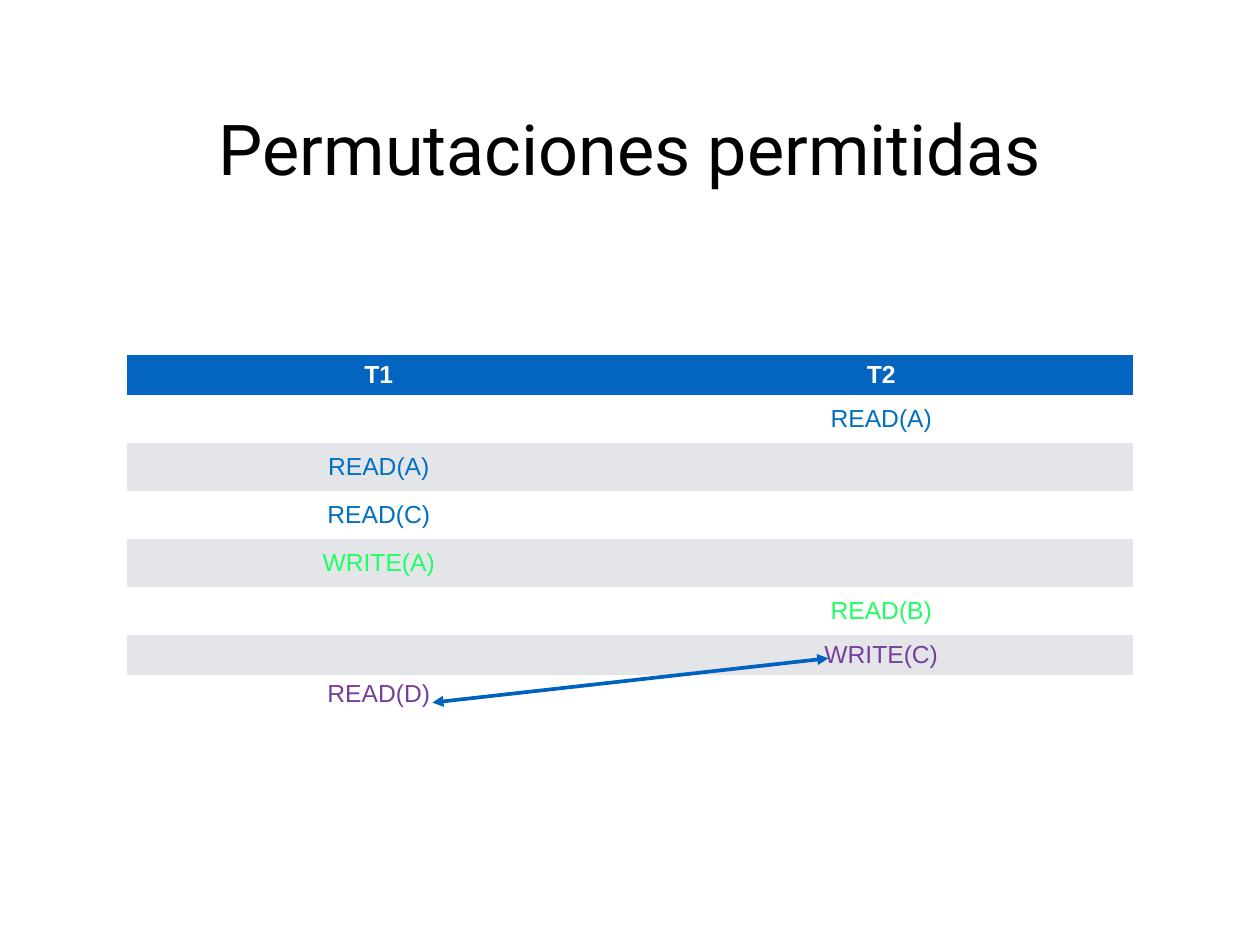
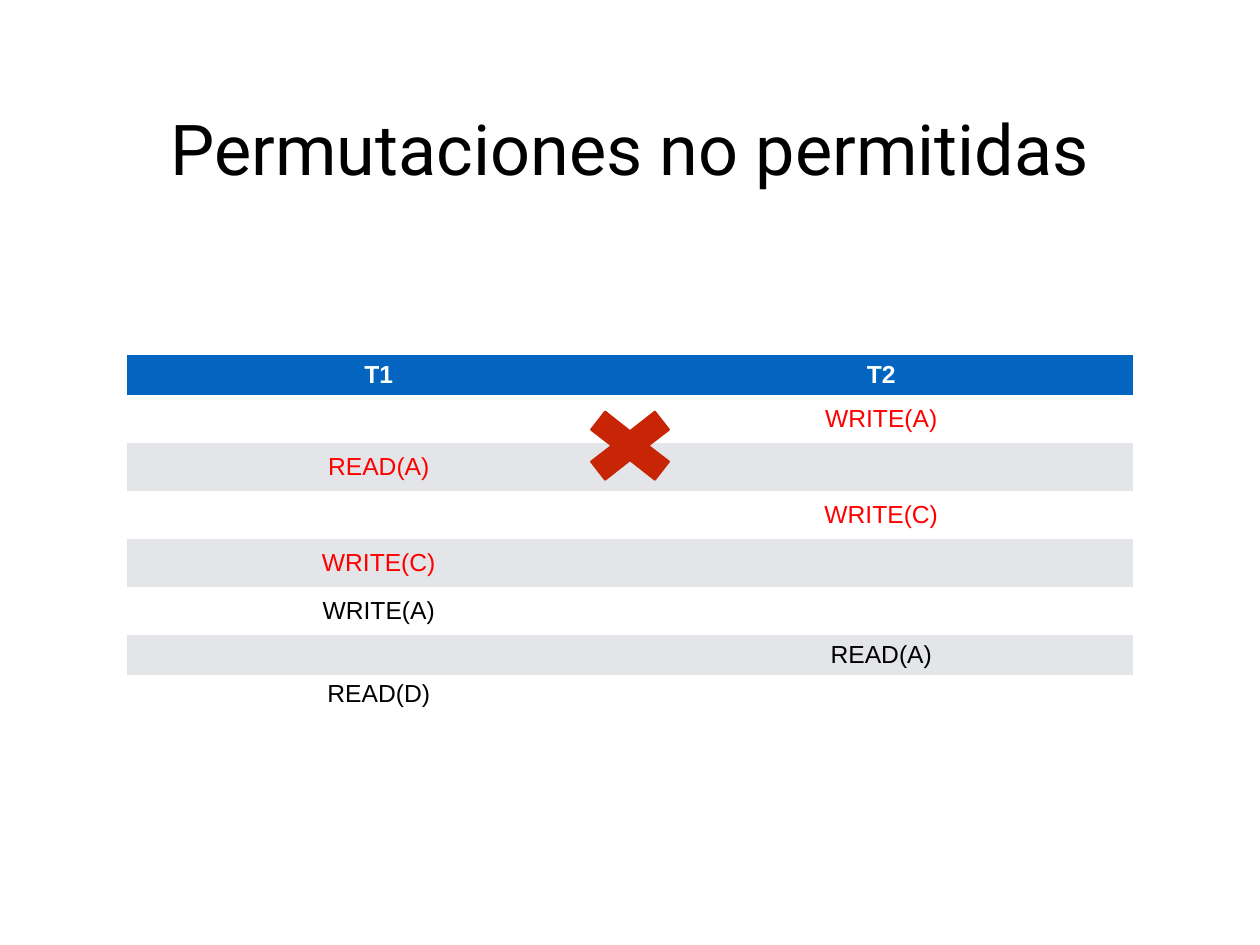
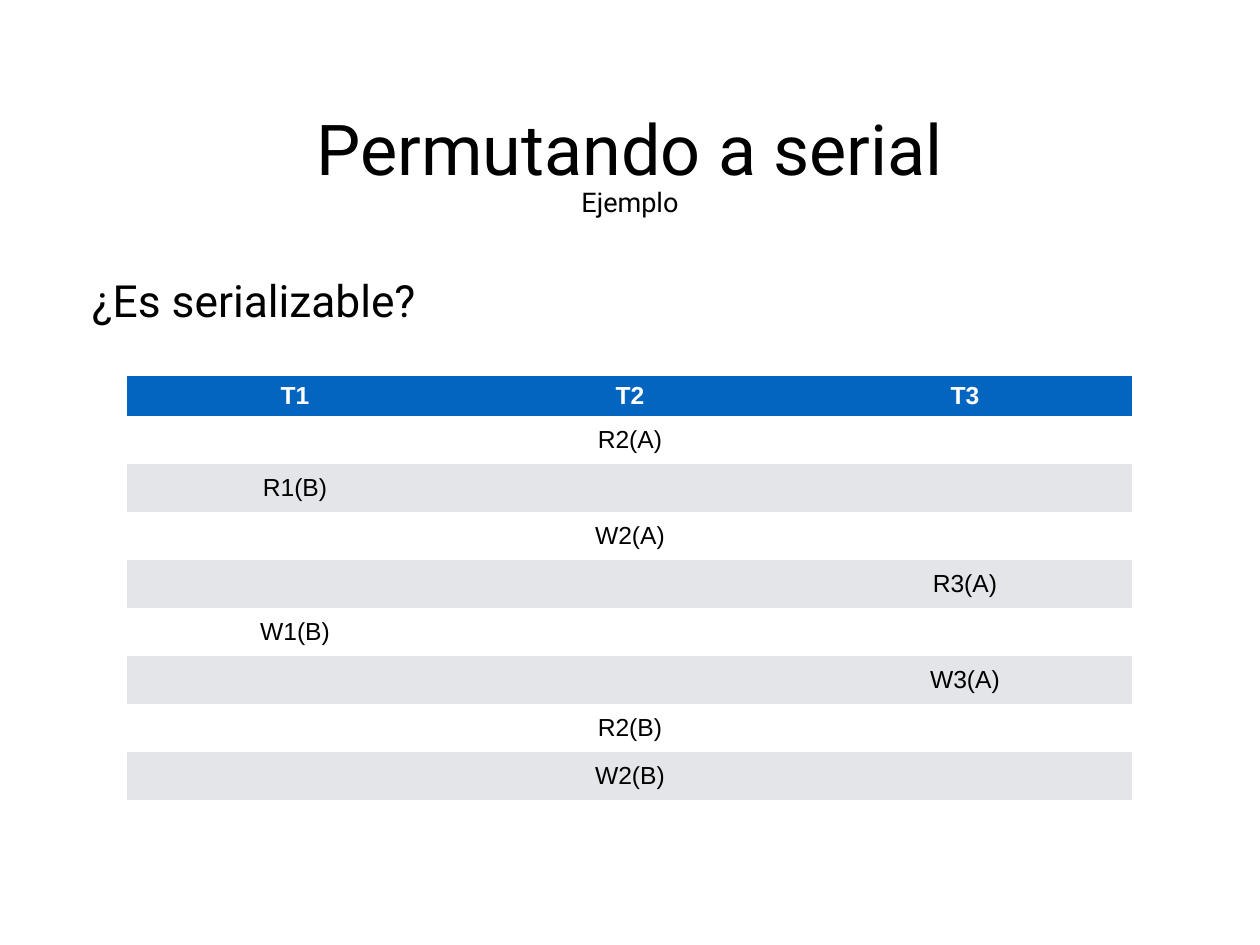
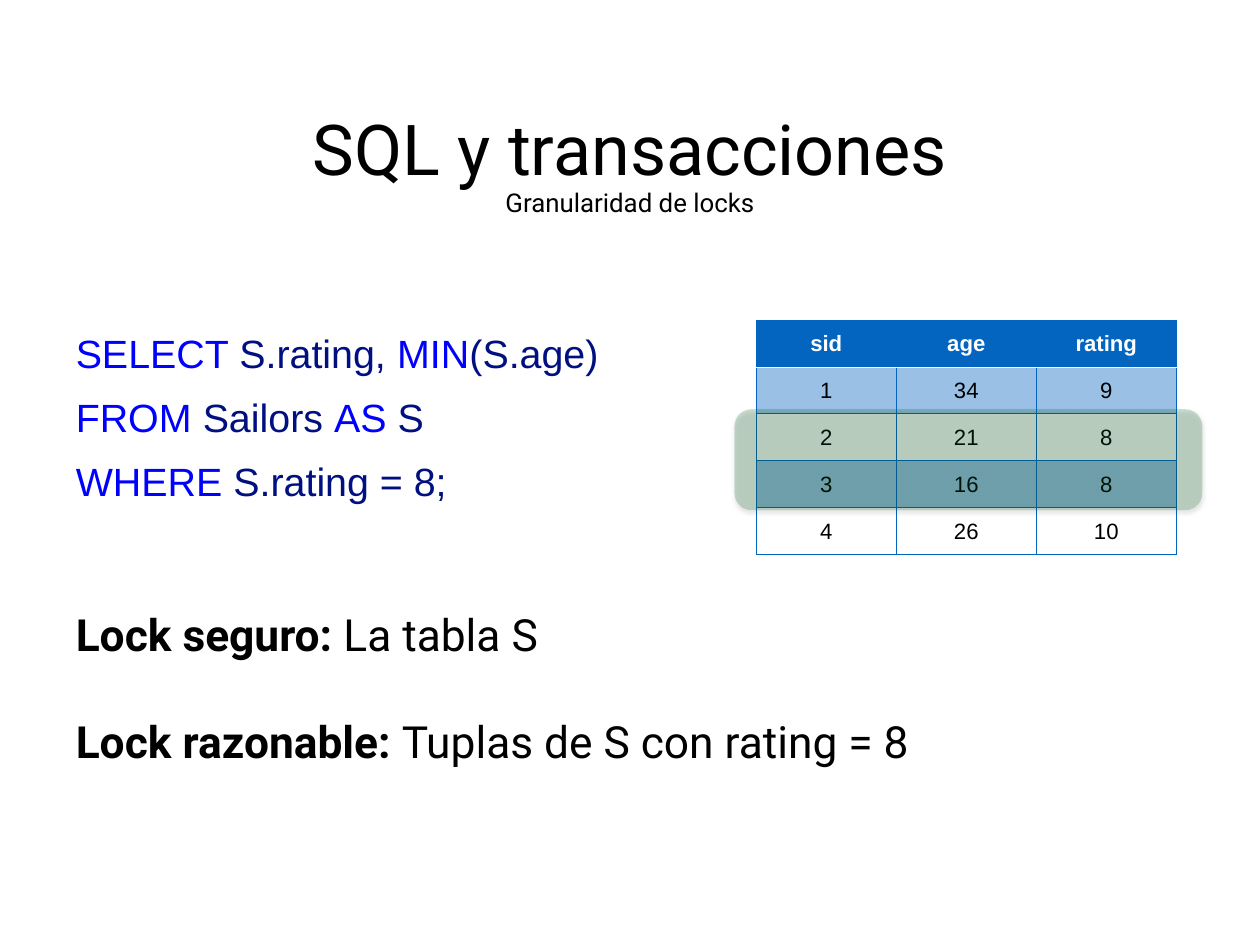
from lxml.etree import SubElement, Element
from pptx import Presentation
from pptx.dml.color import RGBColor as RGB
from pptx.enum.shapes import MSO_CONNECTOR as CONNECTOR, MSO_SHAPE as SHAPE
from pptx.enum.text import MSO_ANCHOR as ANCHOR, PP_ALIGN as ALIGN
from pptx.oxml.ns import qn
from pptx.util import Pt

COLORS = {
    "black": "000000", "white": "FFFFFF", "header": "0365C0", "band": "E3E5E8",
    "blue": "0070C0", "green": "1DFF63", "purple": "773F9B", "red": "FF0000",
    "arrow": "0062BF", "cross": "C82506", "keyword": "0000FF", "code": "001080",
    "lock": "006620",
}
C = {name: RGB.from_string(value) for name, value in COLORS.items()}
WIDTH, HEIGHT = 1024, 768
NO_STYLE = "{2D5ABB26-0587-4C30-8999-92F81FD0307C}"

prs = Presentation()
prs.slide_width, prs.slide_height = Pt(WIDTH), Pt(HEIGHT)


def add_text(slide, box, paragraphs, size, font="Roboto", align=ALIGN.LEFT,
             spacing=None, gap=0):
    """Each paragraph is a list of (text, colour, bold) runs."""
    frame = slide.shapes.add_textbox(*map(Pt, box)).text_frame
    frame.word_wrap = True
    frame.vertical_anchor = ANCHOR.MIDDLE
    frame.margin_left = frame.margin_right = Pt(4)
    frame.margin_top = frame.margin_bottom = Pt(4)
    for i, runs in enumerate(paragraphs):
        para = frame.add_paragraph() if i else frame.paragraphs[0]
        para.alignment = align
        if spacing:
            para.line_spacing = spacing
        if i and gap:
            para.space_before = Pt(gap)
        for text, color, bold in runs:
            run = para.add_run()
            run.text = text
            run.font.name, run.font.size, run.font.bold = font, Pt(size), bold
            run.font.color.rgb = C[color]


def add_grid(slide, left, top, col_width, heights, rows, colors, fills, size, inset):
    """Rows are lists of strings; colors and fills hold one entry per row."""
    cols = len(rows[0])
    table = slide.shapes.add_table(len(rows), cols, Pt(left), Pt(top),
                                   Pt(col_width * cols), Pt(sum(heights))).table
    table.horz_banding = False
    table._tbl.tblPr.find(qn("a:tableStyleId")).text = NO_STYLE
    for column in table.columns:
        column.width = Pt(col_width)
    for r, row in enumerate(rows):
        table.rows[r].height = Pt(heights[r])
        for c, text in enumerate(row):
            cell = table.cell(r, c)
            cell.vertical_anchor = ANCHOR.MIDDLE
            cell.margin_left = cell.margin_right = Pt(inset)
            cell.margin_top = cell.margin_bottom = Pt(inset)
            if fills[r]:
                cell.fill.solid()
                cell.fill.fore_color.rgb = C[fills[r]]
            else:
                cell.fill.background()
            if text:
                para = cell.text_frame.paragraphs[0]
                para.alignment = ALIGN.CENTER
                run = para.add_run()
                run.text = text
                run.font.name, run.font.size, run.font.bold = "Arial", Pt(size), r == 0
                run.font.color.rgb = C[colors[r]]
    return table


# Titles and subtitles: (title, title width, subtitle, width, top, size)
headings = [
    ("Permutaciones permitidas", 682.6, None),
    ("Permutaciones no permitidas", 763.2, None),
    ("Permutando a serial", 526.4, ("Ejemplo", 91, 147, 22)),
    ("SQL y transacciones", 547.2, ("Granularidad de locks", 235.4, 147.6, 21)),
]
slides = []
for title, title_width, subtitle in headings:
    slide = prs.slides.add_slide(prs.slide_layouts[6])
    slides.append(slide)
    add_text(slide, ((WIDTH - title_width) / 2, 82.8, title_width, 74.2),
             [[(title, "black", False)]], 57, align=ALIGN.CENTER)
    if subtitle:
        text, width, top, size = subtitle
        add_text(slide, ((WIDTH - width) / 2, top, width, 34),
                 [[(text, "black", False)]], size, align=ALIGN.CENTER)
allowed, forbidden, serial, locks = slides

# Schedules: (transaction, operation, colour) in order of execution
short_heights = [32.4, 39.4] + [39] * 4 + [31.9] * 2
schedules = [
    (allowed, 288.6, 2, short_heights, [
        (2, "READ(A)", "blue"), (1, "READ(A)", "blue"), (1, "READ(C)", "blue"),
        (1, "WRITE(A)", "green"), (2, "READ(B)", "green"),
        (2, "WRITE(C)", "purple"), (1, "READ(D)", "purple")]),
    (forbidden, 288.6, 2, short_heights, [
        (2, "WRITE(A)", "red"), (1, "READ(A)", "red"), (2, "WRITE(C)", "red"),
        (1, "WRITE(C)", "red"), (1, "WRITE(A)", "black"),
        (2, "READ(A)", "black"), (1, "READ(D)", "black")]),
    (serial, 305.5, 3, [32.4, 39.4] + [39] * 7, [
        (2, "R2(A)", "black"), (1, "R1(B)", "black"), (2, "W2(A)", "black"),
        (3, "R3(A)", "black"), (1, "W1(B)", "black"), (3, "W3(A)", "black"),
        (2, "R2(B)", "black"), (2, "W2(B)", "black")]),
]
for slide, top, count, heights, steps in schedules:
    transactions = range(1, count + 1)
    rows = [[f"T{t}" for t in transactions]]
    rows += [[op if t == owner else "" for t in transactions] for owner, op, _ in steps]
    colors = ["white"] + [color for _, _, color in steps]
    fills = ["header"] + [("white", "band")[i % 2] for i in range(len(steps))]
    add_grid(slide, 103.6, top, 816.8 / count, heights, rows, colors, fills, 20, 4)

# Slide 1: swap arrow between the two operations
swap = allowed.shapes.add_connector(CONNECTOR.STRAIGHT, Pt(351.4), Pt(571),
                                    Pt(673.2), Pt(535))
swap.line.color.rgb = C["arrow"]
swap.line.width = Pt(3)
for end in ("a:headEnd", "a:tailEnd"):
    SubElement(swap.line._get_or_add_ln(), qn(end), type="triangle")
SubElement(swap._element.spPr, qn("a:effectLst"))

# Slide 2: cross, symmetric about its centre
half = [(-31.4, -13), (-20.2, -27.4), (0, -11.5), (20.2, -27.4), (31.4, -13), (14.5, 0)]
outline = [(Pt(WIDTH / 2 + sign * x), Pt(362.2 + sign * y))
           for sign in (1, -1) for x, y in half]
builder = forbidden.shapes.build_freeform(*outline[0])
builder.add_line_segments(outline[1:], close=True)
cross = builder.convert_to_shape()
cross.shadow.inherit = False
cross.fill.solid()
cross.fill.fore_color.rgb = C["cross"]
cross.line.color.rgb = C["cross"]
cross.line.width = Pt(2)
SubElement(cross.line._get_or_add_ln(), qn("a:round"))

# Slide 3: question
add_text(serial, (70.6, 218.9, 882.7, 49.7), [[("¿Es serializable?", "black", False)]], 36)

# Slide 4: query and lock choices
query = [
    [("SELECT ", "keyword"), ("S.rating, ", "code"), ("MIN", "keyword"), ("(S.age)", "code")],
    [("FROM ", "keyword"), ("Sailors ", "code"), ("AS", "keyword"), (" S", "code")],
    [("WHERE ", "keyword"), ("S.rating = 8;", "code")],
]
add_text(locks, (57.6, 260, 547.2, 143.3),
         [[(text, color, False) for text, color in line] for line in query],
         32, font="Arial", spacing=1.36)
choices = [("Lock seguro: ", "La tabla S"),
           ("Lock razonable: ", "Tuplas de S con rating = 8")]
add_text(locks, (57.6, 489.6, 882.7, 138.2),
         [[(name, "black", True), (target, "black", False)] for name, target in choices],
         36, gap=44)

# Slide 4: table of sailors, with translucent bands and borders
sailors = [["sid", "age", "rating"], ["1", "34", "9"], ["2", "21", "8"],
           ["3", "16", "8"], ["4", "26", "10"]]
grid = add_grid(locks, 614.6, 260, 113.8, [38.2] * 5, sailors, ["white"] + ["black"] * 4,
                ["header", "header", None, "header", None], 18, 3.6)
for r in range(len(sailors)):
    for c in range(len(sailors[0])):
        props = grid.cell(r, c)._tc.tcPr
        if r in (1, 3):
            SubElement(props.find(".//" + qn("a:srgbClr")), qn("a:alpha"), val="40000")
        for i, side in enumerate(("lnL", "lnR", "lnT", "lnB")):
            under_header = (r, side) in ((0, "lnB"), (1, "lnT"))
            border = Element(qn("a:" + side), w=str(Pt(0.75)))
            paint = SubElement(border, qn("a:solidFill"))
            SubElement(paint, qn("a:srgbClr"),
                       val=COLORS["white" if under_header else "header"])
            props.insert(i, border)

# Slide 4: locked tuples
locked = locks.shapes.add_shape(SHAPE.ROUNDED_RECTANGLE, Pt(596.9), Pt(332.6),
                                Pt(380.2), Pt(82))
locked.adjustments[0] = 0.167
locked.fill.solid()
locked.fill.fore_color.rgb = C["lock"]
locked.line.fill.background()
locked.shadow.inherit = False
locked_props = locked._element.spPr
SubElement(locked_props.find(".//" + qn("a:srgbClr")), qn("a:alpha"), val="20000")
shadow = SubElement(locked_props.find(qn("a:effectLst")), qn("a:outerShdw"),
                    blurRad=str(Pt(3)), dist=str(Pt(2)), dir="5400000", rotWithShape="0")
shade = SubElement(shadow, qn("a:srgbClr"), val=COLORS["black"])
SubElement(shade, qn("a:alpha"), val="49000")

prs.save("out.pptx")
